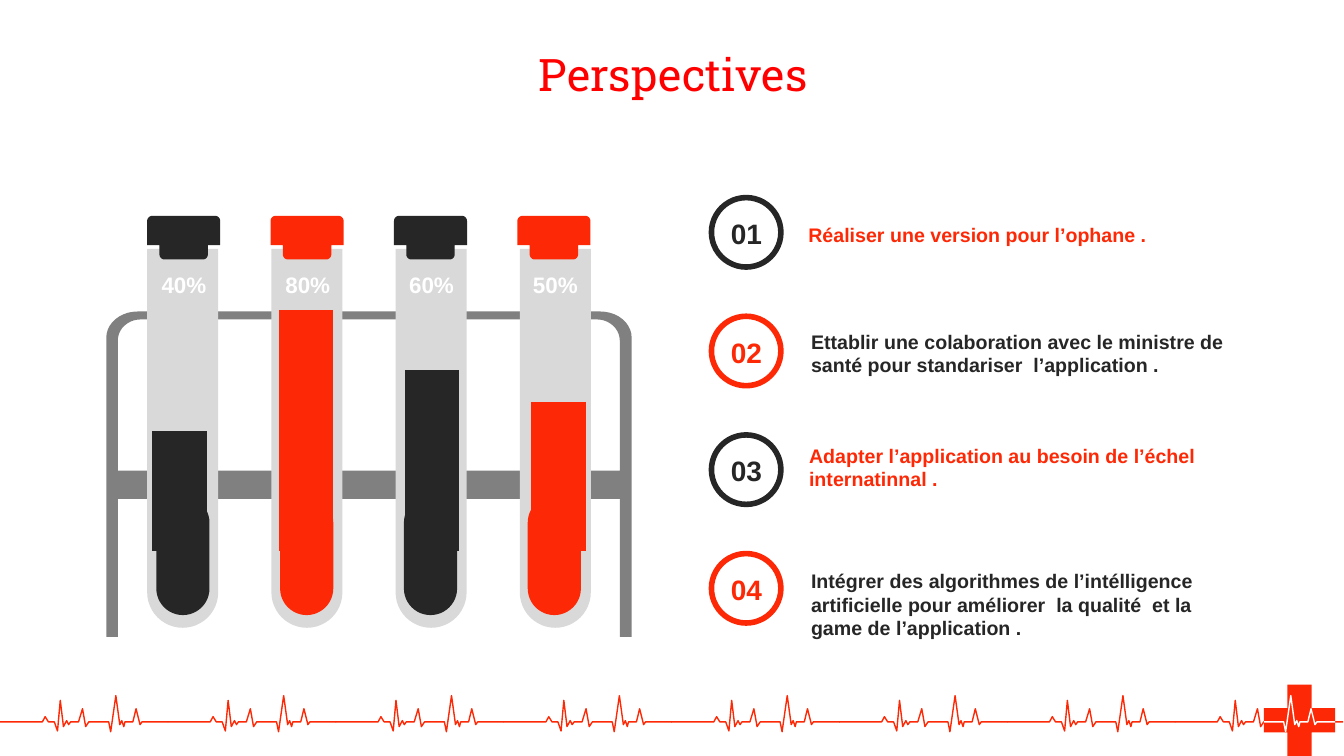
"""Build the Perspectives slide: a test-tube rack chart beside four numbered goals."""
import math

from lxml import etree
from pptx import Presentation
from pptx import util as u
from pptx.chart import data
from pptx.dml import color
from pptx.enum import chart, shapes, text
from pptx.oxml import ns

Cm, Pt = u.Cm, u.Pt
COLORS = {"red": "FD2906", "dark": "262626", "title": "FF0000", "rack": "808080",
          "glass": "D9D9D9", "white": "FFFFFF"}
TUBES = [("40%", 50, "dark"), ("80%", 100, "red"), ("60%", 75, "dark"), ("50%", 62, "red")]
GOALS = [
    ("Réaliser une version pour l’ophane .", 20.12, 5.49, 0.86),
    ("Ettablir une colaboration avec le ministre de santé pour standariser  l’application .",
     20.19, 8.18, 1.45),
    ("Adapter l’application au besoin de l’échel internatinnal .", 20.14, 11.05, 1.45),
    ("Intégrer des algorithmes de l’intélligence artificielle pour améliorer  la qualité  "
     "et la game de l’application .", 20.19, 14.22, 2.06),
]
PULSE = [(0, 18.19), (1.07, 18.19), (1.14, 18.06), (1.22, 18.19), (1.37, 18.19), (1.45, 18.42),
         (1.52, 17.65), (1.6, 18.31), (1.68, 18.16), (1.73, 18.26), (1.78, 18.19), (1.98, 18.19),
         (2.08, 17.86), (2.16, 18.31), (2.24, 18.19), (2.74, 18.19), (2.79, 18.44),
         (2.92, 17.53), (3.02, 18.26), (3.07, 18.16), (3.12, 18.31), (3.15, 18.19),
         (3.35, 18.19), (3.43, 17.86), (3.53, 18.26), (3.58, 18.19), (4.24, 18.19)]
PULSE_PITCH = 4.23


def rgb(name):
    """Return the named colour."""
    return color.RGBColor.from_string(COLORS[name])


def paint(sp, fill=None, line=None, width=1):
    """Set fill and line and drop the shadow."""
    sp.shadow.inherit = False
    if fill:
        sp.fill.solid()
        sp.fill.fore_color.rgb = rgb(fill)
    else:
        sp.fill.background()
    if line:
        sp.line.color.rgb = rgb(line)
        sp.line.width = Pt(width)
    else:
        sp.line.fill.background()


def add_preset(s, kind, box, adj=(), **style):
    """Add a painted preset shape."""
    sp = s.shapes.add_shape(kind, *map(Cm, box))
    for i, value in enumerate(adj):
        sp.adjustments[i] = value
    paint(sp, **style)


def add_outline(s, contours, closed=True, **style):
    """Add a painted freeform made of one or more contours."""
    builder = None
    for contour in contours:
        start, *rest = [(Cm(x), Cm(y)) for x, y in contour]
        if builder is None:
            builder = s.shapes.build_freeform(*start)
        else:
            builder.move_to(*start)
        builder.add_line_segments(rest, close=closed)
    paint(builder.convert_to_shape(), **style)


def corner(cx, cy, rx, ry, start):
    """Return the points of a quarter ellipse, clockwise from an angle."""
    angles = [math.radians(start + 9 * i) for i in range(11)]
    return [(cx + rx * math.cos(a), cy + ry * math.sin(a)) for a in angles]


def arch(left, right, top, rx, ry):
    """Return a top edge with two rounded corners."""
    return corner(left + rx, top + ry, rx, ry, 180) + corner(right - rx, top + ry, rx, ry, 270)


def add_text(s, box, words, size, ink, font="Arial", bold=True, centred=True, middle=False):
    """Add a one-run text box and return its paragraph."""
    tf = s.shapes.add_textbox(*map(Cm, box)).text_frame
    tf.word_wrap = True
    tf.vertical_anchor = text.MSO_ANCHOR.MIDDLE if middle else text.MSO_ANCHOR.TOP
    p = tf.paragraphs[0]
    p.alignment = text.PP_ALIGN.CENTER if centred else text.PP_ALIGN.LEFT
    r = p.add_run()
    r.text = words
    r.font.name, r.font.size, r.font.bold = font, Pt(size), bold
    r.font.color.rgb = rgb(ink)
    return p


def add_heartbeat(s):
    """Add the cross and the pulse line along the bottom."""
    add_preset(s, shapes.MSO_SHAPE.CROSS, (31.85, 17.25, 1.8, 1.8), [0.33], fill="red")
    for i in range(8):
        beat = [(x + i * PULSE_PITCH, y) for x, y in PULSE]
        add_outline(s, [beat], closed=False, line="red")
    last = [(x + 7 * PULSE_PITCH, y) for x, y in PULSE[14:-1]]
    add_outline(s, [last + [(33.65, 18.19)]], closed=False, line="white")


def add_rack(s):
    """Add the frame that holds the tubes."""
    left, right, inner_left, inner_right, foot = 2.68, 15.92, 2.97, 15.62, 16.05
    frame = [(left, foot), *arch(left, right, 7.85, 0.79, 0.66), (right, foot),
             (inner_right, foot), (inner_right, 12.57), (inner_left, 12.57), (inner_left, foot)]
    window = [*arch(inner_left, inner_right, 8.05, 0.58, 0.53),
              (inner_right, 11.86), (inner_left, 11.86)]
    add_outline(s, [frame, window], fill="rack")


def add_cap(s, left, ink):
    """Add a stopper with a narrower neck."""
    right, shoulder, bottom, neck, rad = left + 1.84, 6.18, 6.54, 0.31, 0.13
    cap = [*arch(left, right, 5.44, rad, rad), (right, shoulder), (right - neck, shoulder),
           *corner(right - neck - rad, bottom - rad, rad, rad, 0),
           *corner(left + neck + rad, bottom - rad, rad, rad, 90),
           (left + neck, shoulder), (left, shoulder)]
    add_outline(s, [cap], fill=ink)


def add_tube(s, i, label, ink):
    """Add one tube with its liquid, cap and percentage."""
    add_preset(s, shapes.MSO_SHAPE.ROUND_2_SAME_RECTANGLE,
               (3.71 + 3.13 * i, 6.27, 1.79, 9.55), [0, 0.5], fill="glass")
    add_preset(s, shapes.MSO_SHAPE.ROUNDED_RECTANGLE,
               (3.94 + 3.12 * i, 12.5, 1.34, 3), [0.5], fill=ink)
    add_cap(s, 3.71 + 3.11 * i, ink)
    add_text(s, (3.58 + 3.12 * i, 6.71, 2.11, 0.94), label, 16, "white", middle=True)


def add_level_chart(s):
    """Add the columns that show the liquid levels."""
    cd = data.CategoryChartData()
    cd.categories = [str(i + 1) for i in range(len(TUBES))]
    cd.add_series("Series 1", [level for _, level, _ in TUBES])
    box = map(Cm, (2.67, 6.88, 13.26, 7.16))
    ch = s.shapes.add_chart(chart.XL_CHART_TYPE.COLUMN_CLUSTERED, *box, cd).chart
    ch.has_legend = ch.has_title = False
    ch.font.name, ch.font.size = "Arial", Pt(10)
    ch.category_axis.visible = ch.value_axis.visible = False
    ch.value_axis.has_major_gridlines = False
    ch.value_axis.minimum_scale, ch.value_axis.maximum_scale = 0, 100
    plot = ch.plots[0]
    plot.vary_by_categories = False
    plot.gap_width, plot.overlap = 132, 100
    series = plot.series[0]
    series.format.fill.solid()
    series.format.fill.fore_color.rgb = rgb("red")
    for i, (_, _, ink) in enumerate(TUBES):
        fill = series.points[i].format.fill
        fill.solid()
        fill.fore_color.rgb = rgb(ink)
    area = ch.element.find(".//" + ns.qn("c:plotArea"))
    for old in area.findall(ns.qn("c:layout")):
        area.remove(old)
    layout = etree.Element(ns.qn("c:layout"))
    manual = etree.SubElement(layout, ns.qn("c:manualLayout"))
    for tag, val in (("layoutTarget", "inner"), ("xMode", "edge"), ("yMode", "edge"),
                     ("x", "0.02"), ("y", "0.13"), ("w", "0.96"), ("h", "0.85")):
        etree.SubElement(manual, ns.qn("c:" + tag)).set("val", val)
    area.insert(0, layout)


def add_goal(s, i, words, left, top, height):
    """Add a numbered ring and its goal."""
    ring, ink = ("red", "dark") if i % 2 else ("dark", "red")
    drop = 2.99 * i
    add_preset(s, shapes.MSO_SHAPE.OVAL, (17.93, 4.98 + drop, 1.75, 1.75),
               fill="white", line=ring, width=4)
    add_text(s, (18.11, 5.33 + drop, 1.4, 1.12), f"{i + 1:02}", 20, ring)
    add_text(s, (left, top, 11.33, height), words, 14, ink, centred=False)


def main():
    """Build and save the slide."""
    prs = Presentation()
    prs.slide_width, prs.slide_height = Cm(33.87), Cm(19.05)
    s = prs.slides.add_slide(prs.slide_layouts[6])
    add_heartbeat(s)
    p = add_text(s, (0.89, 0.94, 32.16, 2.01), "Perspectives", 32, "title",
                 font="Roboto Slab", bold=False, middle=True)
    p.line_spacing, p.space_before = 0.9, Pt(10)
    add_rack(s)
    for i, (label, _, ink) in enumerate(TUBES):
        add_tube(s, i, label, ink)
    add_level_chart(s)
    for i, goal in enumerate(GOALS):
        goal_ink = goal
        add_goal(s, i, *goal_ink)
    prs.save("out.pptx")


if __name__ == "__main__":
    main()
